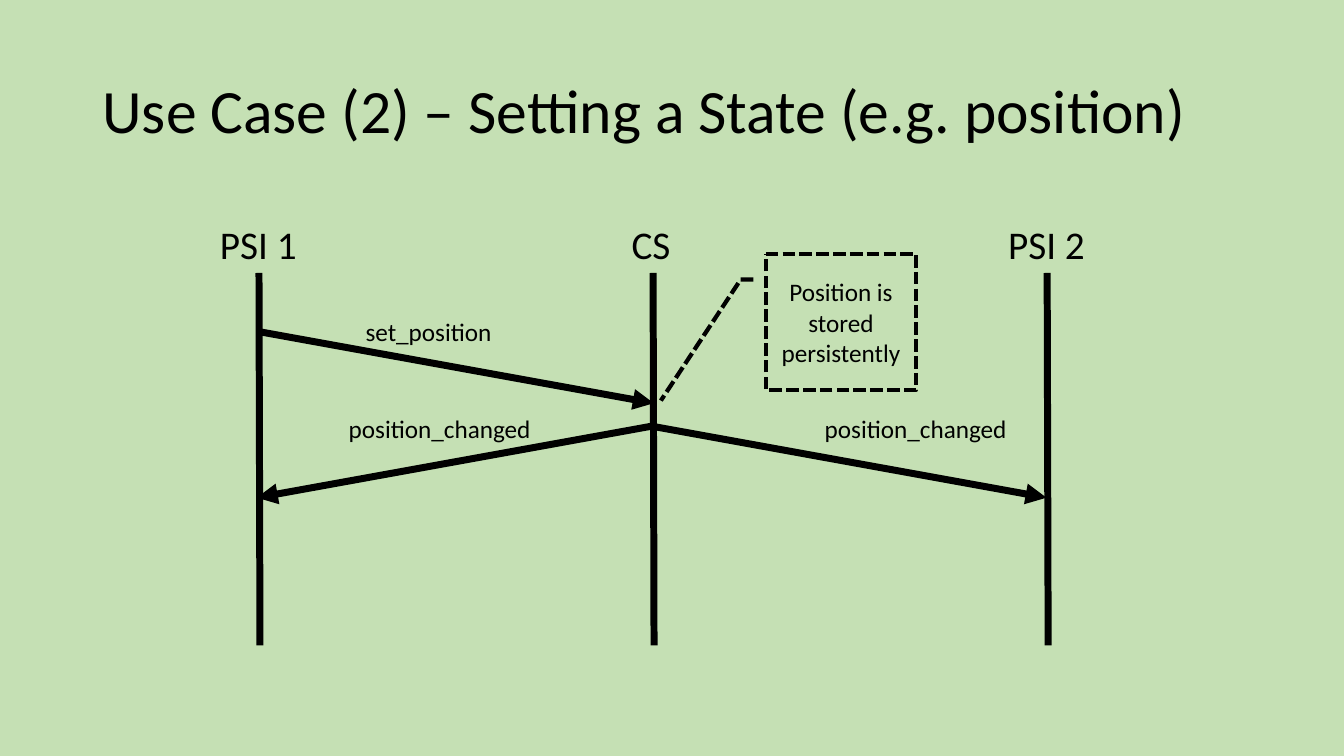
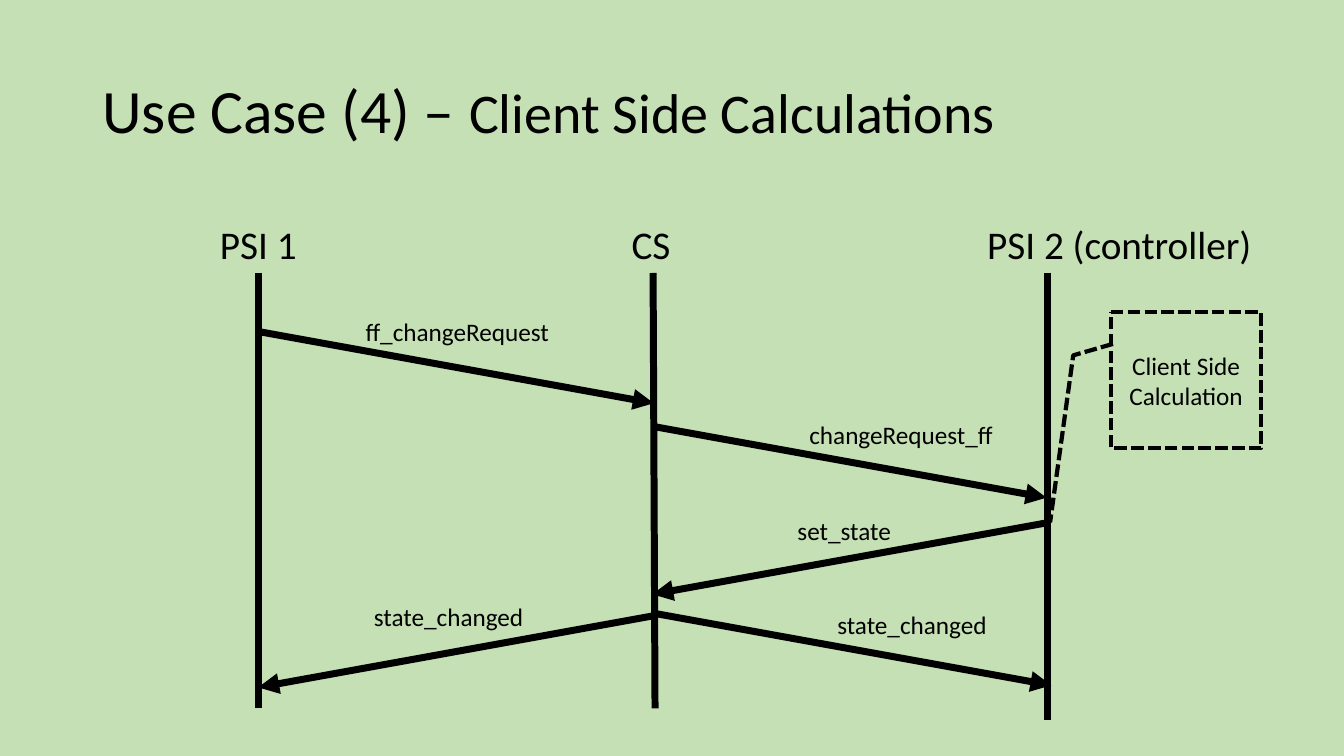
from lxml.etree import SubElement
from pptx import Presentation
from pptx.dml.color import RGBColor
from pptx.enum.dml import MSO_LINE as Dash
from pptx.enum.shapes import MSO_CONNECTOR as Link, MSO_SHAPE as Preset
from pptx.enum.text import MSO_ANCHOR as Anchor, MSO_AUTO_SIZE as Fit, PP_ALIGN as Align
from pptx.oxml.ns import qn
from pptx.util import Pt

COLORS = {"background": "C5E0B4", "ink": "000000"}
FONT = "Calibri"
PSI_1, CS, PSI_2 = 185, 466.5, 748
LIFELINE_TOP = 195
MESSAGE_RUN, MESSAGE_DROP = 281.5, 51
RIGHT, LEFT = 1, -1


def color(name):
    return RGBColor.from_string(COLORS[name])


class SequenceDeck:
    """Draws sequence diagrams in one style on the current slide."""

    def __init__(self):
        self.prs = Presentation()
        self.prs.slide_width, self.prs.slide_height = Pt(960), Pt(540)
        background = self.prs.slide_master.background.fill
        background.solid()
        background.fore_color.rgb = color("background")
        self.slide = None

    def style(self, run, size):
        run.font.name, run.font.size = FONT, Pt(size)
        run.font.color.rgb = color("ink")

    def start(self, *title_parts):
        self.slide = self.prs.slides.add_slide(self.prs.slide_layouts[5])
        title = self.slide.shapes.title
        title.left, title.top, title.width, title.height = map(Pt, (66, 29, 828, 104))
        title.text_frame.vertical_anchor = Anchor.MIDDLE
        heading = title.text_frame.paragraphs[0]
        heading.alignment, heading.line_spacing = Align.LEFT, 0.9
        for words, size in title_parts:
            run = heading.add_run()
            run.text = words
            self.style(run, size)

    def text(self, words, left, top, width, height=29, size=18, wrap=False):
        frame = self.slide.shapes.add_textbox(*map(Pt, (left, top, width, height))).text_frame
        frame.text = words
        frame.word_wrap, frame.auto_size = wrap, Fit.SHAPE_TO_FIT_TEXT
        self.style(frame.paragraphs[0].runs[0], size)

    def participant(self, name, left, width, wrap=False):
        self.text(name, left, 154, width, 41, 28, wrap)

    def line(self, x1, y1, x2, y2, arrow=False):
        link = self.slide.shapes.add_connector(Link.STRAIGHT, *map(Pt, (x1, y1, x2, y2)))
        link.line.width = Pt(5)
        link.line.color.rgb = color("ink")
        properties = link.element.spPr
        if arrow:
            SubElement(properties.find(qn("a:ln")), qn("a:tailEnd"), type="triangle")
        SubElement(properties, qn("a:effectLst"))

    def lifeline(self, x, bottom, lean=0):
        self.line(x, LIFELINE_TOP, x + lean, bottom)

    def message(self, x, y, direction):
        self.line(x, y, x + direction * MESSAGE_RUN, y + MESSAGE_DROP, arrow=True)

    def callout(self, words, left, top, leader):
        box = self.slide.shapes.add_shape(
            Preset.LINE_CALLOUT_2, *map(Pt, (left, top, 107.5, 97)))
        for index, value in enumerate(leader):
            box.adjustments[index] = value
        box.shadow.inherit = False
        box.fill.background()
        box.line.color.rgb = color("ink")
        box.line.width, box.line.dash_style = Pt(3), Dash.SQUARE_DOT
        frame = box.text_frame
        frame.text = words
        frame.word_wrap, frame.vertical_anchor = True, Anchor.MIDDLE
        frame.paragraphs[0].alignment = Align.CENTER
        self.style(frame.paragraphs[0].runs[0], 18)

    def common_part(self, request):
        self.participant("PSI 1", 150, 70)
        self.participant("CS", 444, 42.5)
        self.message(PSI_1 + 0.5, 237, RIGHT)
        self.text(*request)
        self.message(CS - 0.5, 304.5, RIGHT)


def setting_a_state(deck):
    deck.start(("Use Case (2) – Setting a State (e.g. position)", 44))
    for x in (PSI_1, CS, PSI_2):
        deck.lifeline(x, 461, lean=0.7)
    deck.common_part(("set_position", 254, 222.5, 106))
    deck.participant("PSI 2", 713, 70)
    deck.text("position_changed", 582, 292, 146)
    deck.message(CS - 1.5, 304.5, LEFT)
    deck.text("position_changed", 242, 291.5, 146)
    deck.callout("Position is stored persistently", 547, 181.5,
                 (0.188, -0.083, 0.188, -0.167, 1.079, -0.697))


def client_side_calculations(deck):
    deck.start(("Use Case (4) – ", 44), ("Client Side Calculations", 40))
    for x, bottom, lean in ((PSI_1, 506, 0), (CS, 506, 1.4), (PSI_2, 514, 0)):
        deck.lifeline(x, bottom, lean)
    deck.common_part(("ff_changeRequest", 254, 222.5, 147.5))
    deck.participant("PSI 2 (controller)", 698, 229, wrap=True)
    deck.text("changeRequest_ff", 571, 296, 147.5)
    deck.message(PSI_2 - 0.5, 373.5, LEFT)
    deck.text("set_state", 562.5, 364.5, 82)
    deck.callout("Client Side Calculation", 793.5, 223,
                 (0.234, 0.014, 0.318, -0.25, 1.548, -0.404))
    deck.message(CS + 3, 438.5, RIGHT)
    deck.text("state_changed", 591, 432, 122.5)
    deck.message(CS - 0.5, 440, LEFT)
    deck.text("state_changed", 260, 426, 122.5)


deck = SequenceDeck()
setting_a_state(deck)
client_side_calculations(deck)
deck.prs.save("out.pptx")
